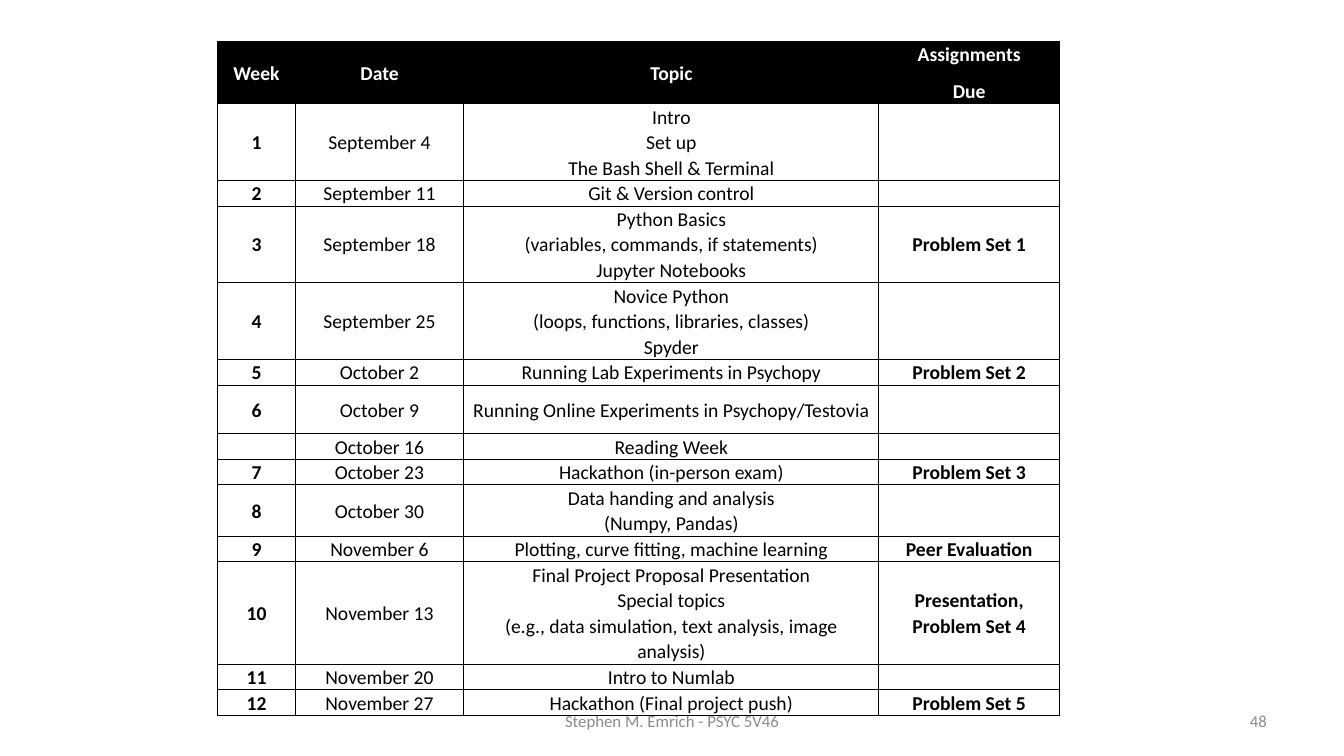
from dataclasses import dataclass

from lxml.etree import SubElement
from pptx import Presentation
from pptx.dml.color import RGBColor
from pptx.enum.text import MSO_ANCHOR as Anchor, PP_ALIGN as Align
from pptx.oxml.ns import qn
from pptx.util import Cm, Pt


@dataclass(frozen=True)
class Theme:
    font: str = "Calibri"
    black: RGBColor = RGBColor(0, 0, 0)
    white: RGBColor = RGBColor(255, 255, 255)
    grey: RGBColor = RGBColor(0x8C, 0x8C, 0x8C)
    table_size: Pt = Pt(14)
    footer_size: Pt = Pt(12)
    border: Pt = Pt(0.75)


THEME = Theme()
COL_WIDTHS = (1.95, 4.25, 10.46, 4.55)
HEADER_HEIGHT = 1.57
LINE_HEIGHT = 0.645
BOLD_COLS = (0, 3)
TIGHT_WEEKS = ("8", "9", "10", "11")

HEADER = ("Week", "Date", "Topic", "Assignments\nDue")
# Lines of height, then week, date, topic, assignment (\v breaks a line)
SCHEDULE = (
    (3, "1", "September 4", "Intro\vSet up\vThe Bash Shell & Terminal", ""),
    (1, "2", "September 11", "Git & Version control", ""),
    (3, "3", "September 18",
     "Python Basics\v(variables, commands, if statements)\vJupyter Notebooks",
     "Problem Set 1"),
    (3, "4", "September 25",
     "Novice Python\v(loops, functions, libraries, classes)\vSpyder", ""),
    (1, "5", "October 2", "Running Lab Experiments in Psychopy", "Problem Set 2"),
    (1.9, "6", "October 9", "Running Online Experiments in Psychopy/Testovia", ""),
    (1, "", "October 16", "Reading Week", ""),
    (1, "7", "October 23", "Hackathon (in-person exam)", "Problem Set 3"),
    (2, "8", "October 30", "Data handing and analysis\v(Numpy, Pandas)", ""),
    (1, "9", "November 6", "Plotting, curve fitting, machine learning",
     "Peer Evaluation"),
    (4, "10", "November 13",
     "Final Project Proposal Presentation\nSpecial topics\v"
     "(e.g., data simulation, text analysis, image analysis)",
     "Presentation,\vProblem Set 4"),
    (1, "11", "November 20", "Intro to Numlab", ""),
    (1, "12", "November 27", "Hackathon (Final project push)", "Problem Set 5"),
)


def style_runs(p, size, color, bold=False):
    for r in p.runs:
        r.font.name = THEME.font
        r.font.size = size
        r.font.bold = bold
        r.font.color.rgb = color


def add_borders(cell):
    tcPr = cell._tc.get_or_add_tcPr()
    for side in ("L", "R", "T", "B"):
        ln = SubElement(tcPr, qn(f"a:ln{side}"), w=str(THEME.border))
        fill = SubElement(ln, qn("a:solidFill"))
        SubElement(fill, qn("a:srgbClr"), val=str(THEME.black))


def fill_cell(cell, text, color, bold, gap):
    cell.vertical_anchor = Anchor.MIDDLE
    cell.margin_left = cell.margin_right = Cm(0.18)
    cell.margin_top = cell.margin_bottom = 0
    cell.text_frame.text = text
    for p in cell.text_frame.paragraphs:
        p.alignment = Align.CENTER
        p.line_spacing = 1.07
        p.space_after = gap
        style_runs(p, THEME.table_size, color, bold)
        if not text:
            # An empty cell needs its own type size to keep the row low
            SubElement(p._p, qn("a:endParaRPr"),
                       sz=str(int(THEME.table_size.pt * 100)))
    add_borders(cell)


def add_schedule(s, left, top):
    heights = [HEADER_HEIGHT] + [LINE_HEIGHT * row[0] for row in SCHEDULE]
    table = s.shapes.add_table(len(heights), len(COL_WIDTHS), Cm(left), Cm(top),
                               Cm(sum(COL_WIDTHS)), Cm(sum(heights))).table
    table.horz_banding = False
    for col, width in zip(table.columns, COL_WIDTHS):
        col.width = Cm(width)
    for row, height in zip(table.rows, heights):
        row.height = Cm(height)

    for c, text in enumerate(HEADER):
        cell = table.cell(0, c)
        fill_cell(cell, text, THEME.white, True, Pt(8))
        cell.fill.solid()
        cell.fill.fore_color.rgb = THEME.black
    for i, (_, *texts) in enumerate(SCHEDULE, start=1):
        gap = Pt(0) if texts[0] in TIGHT_WEEKS else Pt(8)
        for c, text in enumerate(texts):
            cell = table.cell(i, c)
            fill_cell(cell, text, THEME.black, c in BOLD_COLS, gap)
            cell.fill.background()


def add_footer_text(s, text, left, top, width, height, align):
    tf = s.shapes.add_textbox(Cm(left), Cm(top), Cm(width), Cm(height)).text_frame
    tf.word_wrap = True
    tf.vertical_anchor = Anchor.MIDDLE
    tf.text = text
    p = tf.paragraphs[0]
    p.alignment = align
    style_runs(p, THEME.footer_size, THEME.grey)


def add_footer(s, top, height):
    add_footer_text(s, "Stephen M. Emrich - PSYC 5V46", 11.58, top, 10.72, height,
                    Align.CENTER)
    add_footer_text(s, "48", 24.28, top, 7.9, height, Align.RIGHT)


def main():
    prs = Presentation()
    prs.slide_width, prs.slide_height = Cm(33.87), Cm(19.05)
    s = prs.slides.add_slide(prs.slide_layouts[6])
    add_footer(s, 17.65, 1.02)
    add_schedule(s, 5.49, 1.04)
    prs.save("out.pptx")


if __name__ == "__main__":
    main()
